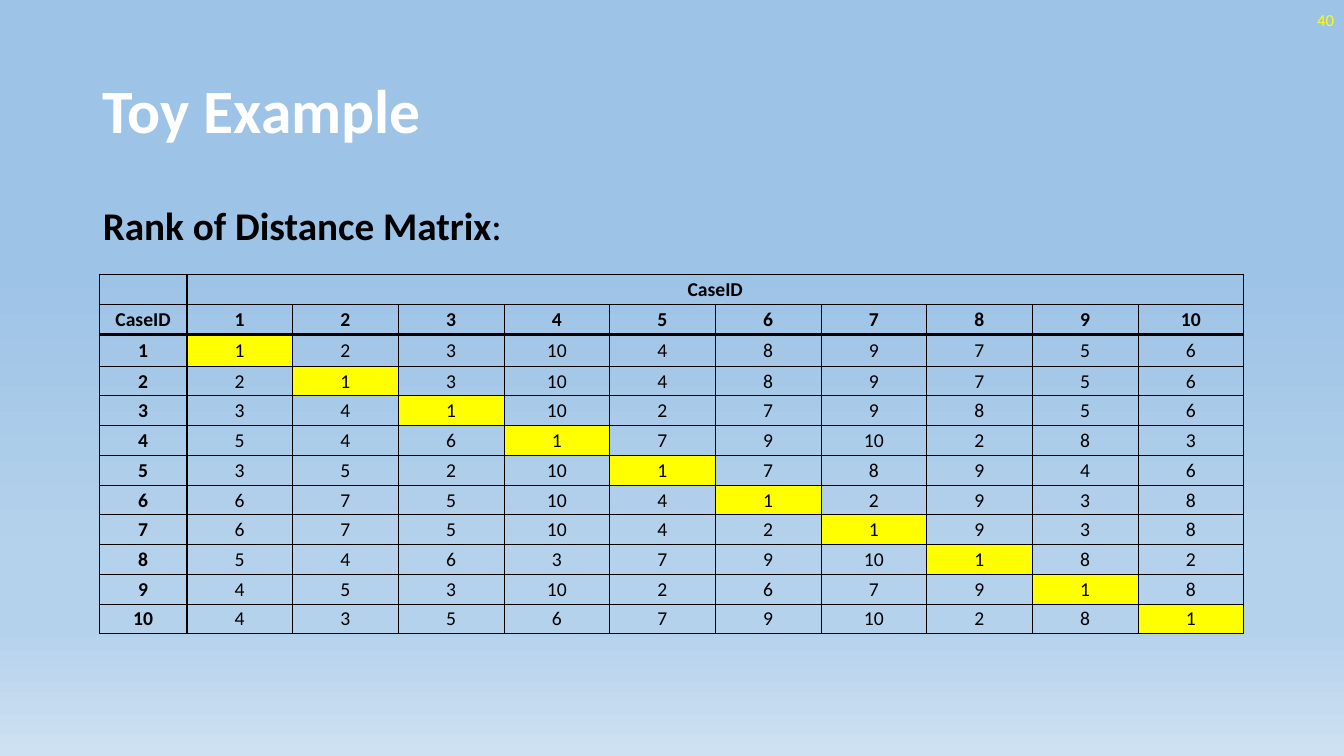
from dataclasses import dataclass

from lxml import etree
from pptx import Presentation
from pptx import util as u
from pptx.dml.color import RGBColor
from pptx.enum import text
from pptx.oxml.ns import qn

PX = 3175  # EMU, 288 px to the inch
FONT = "Calibri"
BLACK, WHITE, YELLOW = "000000", "FFFFFF", "FFFF00"
THIN, THICK = 0.5, 2
BACKGROUND = [(35, "9DC3E6"), (74, "B5D2EC"), (83, "B5D2EC"), (100, "CEE1F2")]
CASES = range(1, 11)
RANKS = [
    (1, 2, 3, 10, 4, 8, 9, 7, 5, 6),
    (2, 1, 3, 10, 4, 8, 9, 7, 5, 6),
    (3, 4, 1, 10, 2, 7, 9, 8, 5, 6),
    (5, 4, 6, 1, 7, 9, 10, 2, 8, 3),
    (3, 5, 2, 10, 1, 7, 8, 9, 4, 6),
    (6, 7, 5, 10, 4, 1, 2, 9, 3, 8),
    (6, 7, 5, 10, 4, 2, 1, 9, 3, 8),
    (5, 4, 6, 3, 7, 9, 10, 1, 8, 2),
    (4, 5, 3, 10, 2, 6, 7, 9, 1, 8),
    (4, 3, 5, 6, 7, 9, 10, 2, 8, 1),
]
HEADER_ROWS = 2
COL_WIDTHS = [250] + [302] * len(CASES)
ROW_HEIGHTS = [86, 87, 90] + [85] * 9


@dataclass
class Box:
    left: int
    top: int
    width: int
    height: int

    def emu(self) -> list[int]:
        return [px(v) for v in (self.left, self.top, self.width, self.height)]


@dataclass
class Style:
    size: int
    color: str = BLACK
    bold: bool = False


TITLE = Box(265, 115, 3312, 418)
BODY = Box(265, 576, 3312, 1371)
NUMBER = Box(2976, 0, 864, 115)
TABLE = Box(284, 783, sum(COL_WIDTHS), sum(ROW_HEIGHTS))


def px(n: int) -> int:
    return n * PX


def rgb(color: str) -> RGBColor:
    return RGBColor.from_string(color)


def add_run(p, words: str, style: Style) -> None:
    r = p.add_run()
    r.text = words
    r.font.name = FONT
    r.font.size = u.Pt(style.size)
    r.font.bold = style.bold
    r.font.color.rgb = rgb(style.color)


def set_frame(sp, box: Box, anchor, align):
    """Place a text shape and return its first paragraph."""
    sp.left, sp.top, sp.width, sp.height = box.emu()
    tf = sp.text_frame
    tf.word_wrap = True
    tf.auto_size = text.MSO_AUTO_SIZE.NONE
    tf.vertical_anchor = anchor
    p = tf.paragraphs[0]
    p.alignment = align
    return p


def set_background(slide) -> None:
    fill = slide.background.fill
    fill.gradient()
    fill.gradient_angle = 270
    stops = next(slide.element.iter(qn("a:gsLst")))
    for stop in list(stops):
        stops.remove(stop)
    for percent, color in BACKGROUND:
        stop = etree.SubElement(stops, qn("a:gs"), pos=str(percent * 1000))
        etree.SubElement(stop, qn("a:srgbClr"), val=color)


def set_borders(cell, row: int, col: int) -> None:
    """Thin grid, with thick rules beside the row heads and below the header."""
    widths = {
        "L": THICK if col == 1 else THIN,
        "R": THICK if col == 0 else THIN,
        "T": THICK if row == HEADER_ROWS else THIN,
        "B": THICK if row == HEADER_ROWS - 1 else THIN,
    }
    tcPr = cell._tc.get_or_add_tcPr()
    for side, width in widths.items():
        ln = etree.SubElement(tcPr, qn(f"a:ln{side}"), w=str(u.Pt(width)))
        fill = etree.SubElement(ln, qn("a:solidFill"))
        etree.SubElement(fill, qn("a:srgbClr"), val=BLACK)


def fill_cell(cell, words: str, bold: bool, highlight: bool) -> None:
    if highlight:
        cell.fill.solid()
        cell.fill.fore_color.rgb = rgb(YELLOW)
    else:
        cell.fill.background()
    cell.margin_left = cell.margin_right = cell.margin_top = px(3)
    cell.margin_bottom = 0
    cell.vertical_anchor = text.MSO_ANCHOR.MIDDLE
    p = cell.text_frame.paragraphs[0]
    p.alignment = text.PP_ALIGN.CENTER
    if words:
        add_run(p, words, Style(14, bold=bold))
    else:
        p._p.get_or_add_endParaRPr().set("sz", "1400")


def add_rank_table(slide) -> None:
    rows = [["", "CaseID"], ["CaseID", *CASES]]
    rows += [[case, *ranks] for case, ranks in zip(CASES, RANKS)]
    table = slide.shapes.add_table(len(rows), len(COL_WIDTHS), *TABLE.emu()).table
    table.first_row = table.horz_banding = False
    for column, width in zip(table.columns, COL_WIDTHS):
        column.width = px(width)
    for row, height in zip(table.rows, ROW_HEIGHTS):
        row.height = px(height)
    table.cell(0, 1).merge(table.cell(0, len(CASES)))
    for i, values in enumerate(rows):
        for j, value in enumerate(values):
            cell = table.cell(i, j)
            is_head = i < HEADER_ROWS or j == 0
            is_diagonal = not is_head and i - HEADER_ROWS == j - 1
            set_borders(cell, i, j)
            fill_cell(cell, str(value), is_head, is_diagonal)


def main() -> None:
    prs = Presentation()
    prs.slide_width, prs.slide_height = px(3840), px(2160)
    slide = prs.slides.add_slide(prs.slide_layouts[1])
    set_background(slide)

    middle, left = text.MSO_ANCHOR.MIDDLE, text.PP_ALIGN.LEFT
    p = set_frame(slide.shapes.title, TITLE, middle, left)
    p.line_spacing = 0.9
    add_run(p, "Toy Example", Style(44, WHITE, True))

    p = set_frame(slide.placeholders[1], BODY, text.MSO_ANCHOR.TOP, left)
    p.line_spacing = 0.9
    p.space_before = u.Pt(0)
    pPr = p._p.get_or_add_pPr()
    pPr.set("marL", "0")
    pPr.set("indent", "0")
    etree.SubElement(pPr, qn("a:buNone"))
    add_run(p, "Rank of Distance Matrix", Style(28, bold=True))
    add_run(p, ":", Style(28))

    number = slide.shapes.add_textbox(*NUMBER.emu())
    p = set_frame(number, NUMBER, middle, text.PP_ALIGN.RIGHT)
    add_run(p, "40", Style(12, YELLOW))

    add_rank_table(slide)
    prs.save("out.pptx")


if __name__ == "__main__":
    main()
